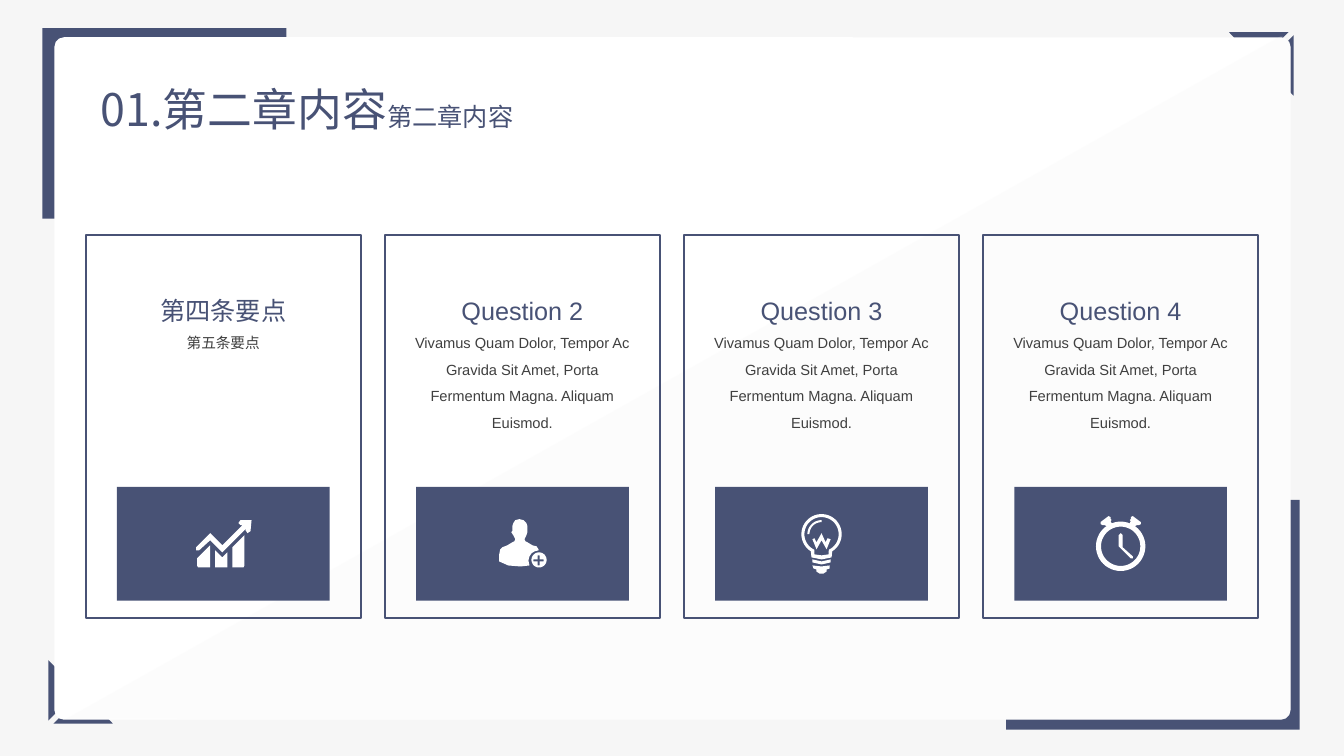
import math

from lxml import etree
from pptx import Presentation
from pptx.dml.color import RGBColor
from pptx.enum import shapes, text
from pptx.oxml import ns
from pptx.util import Inches, Pt

NAVY = RGBColor(0x48, 0x52, 0x75)
WHITE = RGBColor(0xFF, 0xFF, 0xFF)
SHEEN = RGBColor(0xF2, 0xF2, 0xF2)
BACKDROP = RGBColor(0xF6, 0xF6, 0xF6)
BODY = RGBColor(0x40, 0x40, 0x40)
LATIN = "Arial"
CHINESE = "Noto Sans CJK SC"

CARD_LEFT, CARD_TOP, CARD_PITCH = 0.85, 2.33, 8.9 / 3
ANSWER = ("Vivamus Quam Dolor, Tempor Ac Gravida Sit Amet, "
          "Porta Fermentum Magna. Aliquam Euismod.")


def arc(x, y, radius, start=0, end=360):
    """Points on an arc; degrees run clockwise from the right."""
    steps = max(6, round(abs(end - start) / 7.5))
    angles = [math.radians(start + (end - start) * i / steps) for i in range(steps + 1)]
    return [(x + radius * math.cos(a), y + radius * math.sin(a)) for a in angles]


def mirror(points):
    return [(-x, y) for x, y in points]


# Icon outlines, in hundredths of an inch from the icon centre
GROWTH_ICON = [
    [(-26, 21), (-25, 23), (-13, 23), (-13, 1), (-26, 14)],
    [(-8, 6), (-8, 23), (4, 23), (4, 8), (-1, 13)],
    [(9, 3), (9, 23), (20, 23), (21, 21), (21, -9), (11, 1)],
    [(17, -24), (15, -21), (17, -19), (19, -19), (-1, 1), (-13, -11), (-27, 3),
     (-27, 6), (-24, 6), (-13, -4), (-1, 8), (23, -16), (22, -14), (24, -11),
     (27, -13), (28, -24)],
]
USER_ICON = [
    [(16, 6), (16, 5), (14, 2), (10, 1), (5, -2), (3, -3), (2, -5), (4, -9),
     (5, -12), (5, -13), (5, -18), (4, -21), (1, -24), (-3, -25), (-7, -24),
     (-9, -21), (-10, -18), (-10, -13), (-11, -12), (-9, -9), (-7, -5), (-8, -3),
     (-10, -2), (-15, 1), (-20, 3), (-22, 5), (-23, 10), (-23, 17), (-14, 21),
     (-2, 22), (7, 21), (6, 16), (7, 12), (9, 9), (12, 7)],
    arc(16.5, 15.5, 7.5),
    [(21, 17), (17, 17), (17, 21), (15, 21), (15, 17), (11, 17),
     (11, 15), (15, 15), (15, 11), (17, 11), (17, 15), (21, 15)],
]
BULB_ICON = [
    arc(0, -10, 20, 122, 418) + [(10, 13), (0, 15), (-10, 13)],
    arc(0, -10, 17, 115, 425) + [(7, 10), (0, 11), (-7, 10)],
    [(-9, 15), (0, 17), (9, 15), (9, 18), (0, 20), (-9, 18)],
    [(-9, 21), (0, 22), (8, 21), (8, 24), (5, 25), (5, 27), (2, 29),
     (-2, 29), (-5, 27), (-5, 25), (-8, 24)],
    arc(0, -10, 14, 180, 270) + arc(0, -10, 12, 270, 180),
    [(4, -2), (0, -11), (-5, -2), (-7, -6), (-9, -5), (-5, 5), (0, -4),
     (5, 5), (9, -5), (6, -6)],
]
BELL = [(14, -18), (16, -19), (18, -19), (20, -20), (20, -22), (12, -28),
        (10, -27), (10, -25), (9, -24), (10, -23), (9, -21)]
CLOCK_ICON = [
    arc(0, 2, 24.5), arc(0, 2, 19.5), BELL, mirror(BELL),
    [(2, 3), (2, -9), (0, -11), (-2, -9), (-2, 2), (0, 4), (10, 14), (12, 14), (12, 12)],
]

CARDS = [
    ("第四条要点", "第五条要点", GROWTH_ICON),
    ("Question 2", ANSWER, USER_ICON),
    ("Question 3", ANSWER, BULB_ICON),
    ("Question 4", ANSWER, CLOCK_ICON),
]

# Two slanted strips at the lower left corner
CORNER = [
    [(0.63, 6.7), (0.63, 7), (0.48, 7.15), (0.48, 6.55)],
    [(1.12, 7.18), (0.53, 7.18), (0.68, 7.03), (0.98, 7.03)],
]


def paint(shape, fill=None, line=None):
    shape.shadow.inherit = False
    if fill is None:
        shape.fill.background()
    else:
        shape.fill.solid()
        shape.fill.fore_color.rgb = fill
    if line is None:
        shape.line.fill.background()
    else:
        shape.line.color.rgb = line
        shape.line.width = Pt(1.5)


def add_box(slide, left, top, width, height, fill=None, line=None,
            kind=shapes.MSO_SHAPE.RECTANGLE):
    shape = slide.shapes.add_shape(
        kind, Inches(left), Inches(top), Inches(width), Inches(height))
    paint(shape, fill, line)
    return shape


def add_outline(slide, contours, fill):
    contours = [[(Inches(x), Inches(y)) for x, y in points] for points in contours]
    builder = slide.shapes.build_freeform(*contours[0][0])
    for points in contours:
        if points is not contours[0]:
            builder.move_to(*points[0])
        builder.add_line_segments(points[1:], close=True)
    shape = builder.convert_to_shape()
    paint(shape, fill)
    return shape


def add_text_box(slide, left, top, width, height):
    frame = slide.shapes.add_textbox(
        Inches(left), Inches(top), Inches(width), Inches(height)).text_frame
    frame.word_wrap = True
    return frame


def add_run(paragraph, words, size, color, name=LATIN):
    run = paragraph.add_run()
    run.text = words
    run.font.size = Pt(size)
    run.font.color.rgb = color
    run.font.name = name
    if name == CHINESE:
        east_asian = etree.SubElement(run.font._element, ns.qn("a:ea"))
        east_asian.set("typeface", name)


def add_frame(slide):
    # Corner blocks and strips behind the white panel
    add_box(slide, 0.42, 0.28, 2.42, 1.89, NAVY)
    add_box(slide, 9.98, 4.96, 2.91, 2.28, NAVY)
    add_outline(slide, CORNER, NAVY)
    opposite = [[(13.31 - x, 7.5 - y) for x, y in strip] for strip in CORNER]
    add_outline(slide, opposite, NAVY)

    # White panel with a faint diagonal sheen
    panel = add_box(slide, 0.54, 0.37, 12.26, 6.77, WHITE,
                    kind=shapes.MSO_SHAPE.ROUNDED_RECTANGLE)
    panel.adjustments[0] = 0.014
    edge = arc(12.7, 0.46, 0.1, 270, 360) + arc(12.7, 7.04, 0.1, 0, 90) + [(0.66, 7.13)]
    sheen = add_outline(slide, [edge], SHEEN)
    color = sheen.fill._xPr.find(".//" + ns.qn("a:srgbClr"))
    etree.SubElement(color, ns.qn("a:alpha")).set("val", "16000")


def add_title(slide):
    frame = add_text_box(slide, 0.9, 0.76, 5.75, 0.64)
    frame.vertical_anchor = text.MSO_ANCHOR.MIDDLE
    paragraph = frame.paragraphs[0]
    add_run(paragraph, "01.第二章内容", 32, NAVY, CHINESE)
    add_run(paragraph, "第二章内容", 18, NAVY)


def add_card(slide, left, heading, body, icon):
    add_box(slide, left, CARD_TOP, 2.73, 3.8, line=NAVY)
    add_box(slide, left + 0.31, 4.83, 2.11, 1.13, NAVY)
    frame = add_text_box(slide, left + 0.2, 2.73, 2.33, 1.62)
    rows = [(heading, 18, NAVY), (body, 10.5, BODY)]
    for index, (words, size, color) in enumerate(rows):
        paragraph = frame.add_paragraph() if index else frame.paragraphs[0]
        paragraph.alignment = text.PP_ALIGN.CENTER
        paragraph.line_spacing = 1.5
        add_run(paragraph, words, size, color)
    center = left + 1.365
    placed = [[(center + x / 100, 5.4 + y / 100) for x, y in points] for points in icon]
    add_outline(slide, placed, WHITE)


def main():
    presentation = Presentation()
    presentation.slide_width = Inches(13.33)
    presentation.slide_height = Inches(7.5)
    slide = presentation.slides.add_slide(presentation.slide_layouts[6])
    slide.background.fill.solid()
    slide.background.fill.fore_color.rgb = BACKDROP
    add_frame(slide)
    add_title(slide)
    for index, card in enumerate(CARDS):
        add_card(slide, CARD_LEFT + index * CARD_PITCH, *card)
    presentation.save("out.pptx")


if __name__ == "__main__":
    main()
